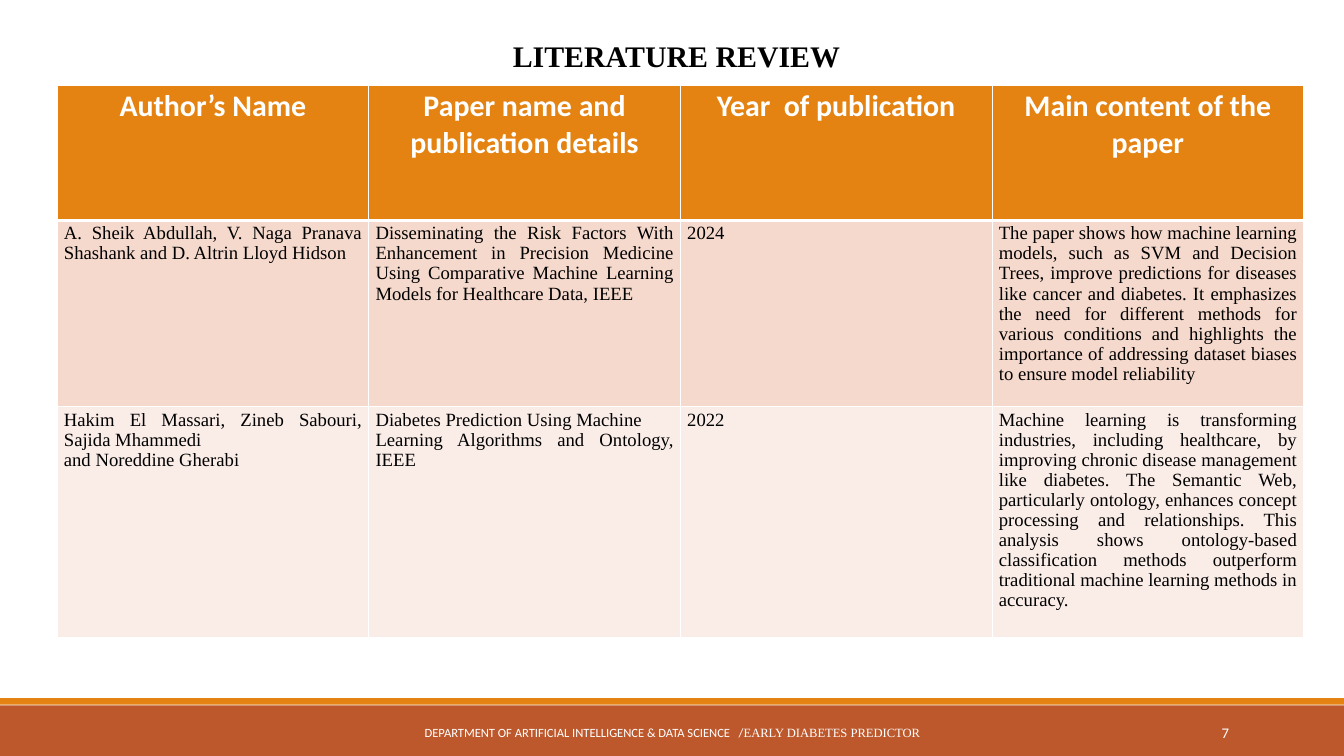
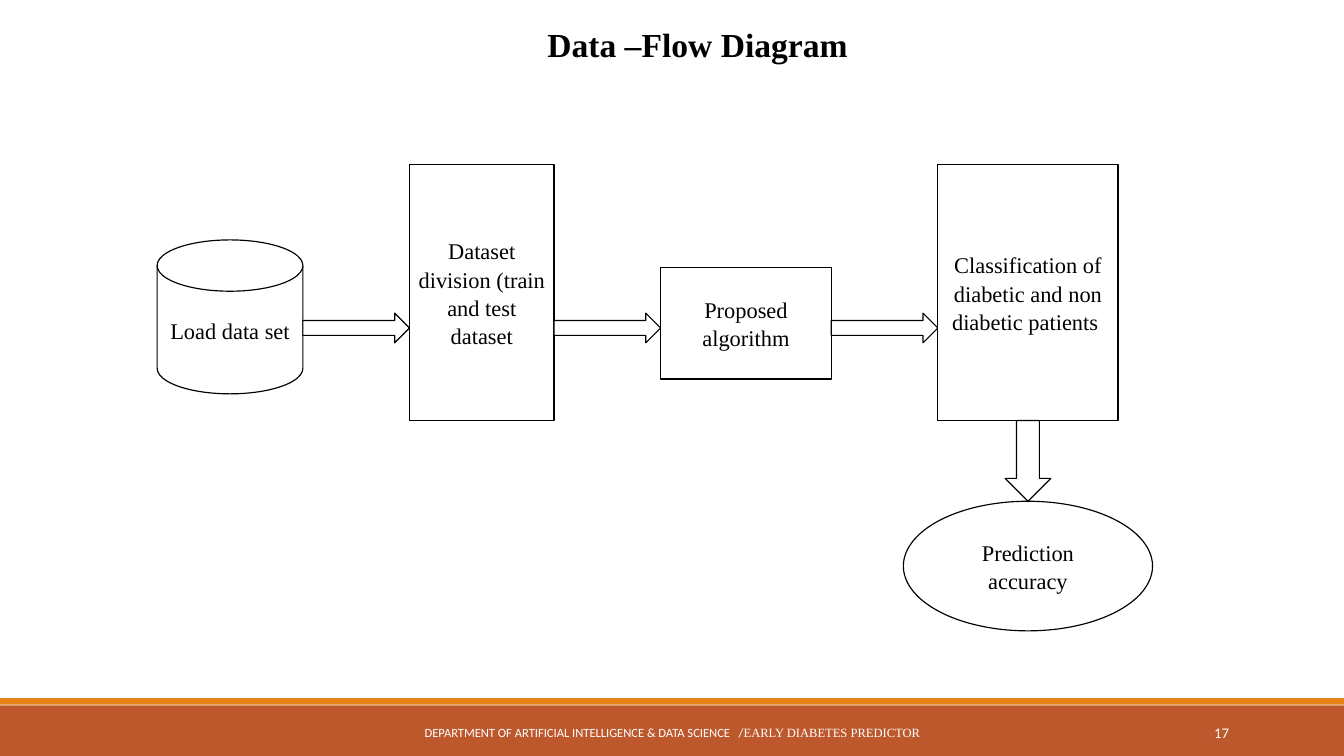
from collections import namedtuple

from lxml import etree
from pptx import Presentation
from pptx.dml.color import RGBColor
from pptx.enum.shapes import MSO_SHAPE
from pptx.enum.text import MSO_ANCHOR, PP_ALIGN
from pptx.oxml.ns import qn
from pptx.util import Cm, Pt

COLORS = {
    "white": "FFFFFF",
    "black": "000000",
    "orange": "E48312",
    "rust": "BD582C",
    "row_dark": "F5D9CC",
    "row_light": "FAEDE7",
}
SERIF, SANS = "Times New Roman", "Calibri"
LEFT, CENTER, RIGHT, JUSTIFY = PP_ALIGN.LEFT, PP_ALIGN.CENTER, PP_ALIGN.RIGHT, PP_ALIGN.JUSTIFY
TOP, MIDDLE = MSO_ANCHOR.TOP, MSO_ANCHOR.MIDDLE
RECTANGLE, PROCESS = MSO_SHAPE.RECTANGLE, MSO_SHAPE.FLOWCHART_PROCESS
DISK, ELLIPSE = MSO_SHAPE.FLOWCHART_MAGNETIC_DISK, MSO_SHAPE.OVAL
RIGHT_ARROW, DOWN_ARROW = MSO_SHAPE.RIGHT_ARROW, MSO_SHAPE.DOWN_ARROW
TITLE_ONLY = 5

Box = namedtuple("Box", "left top width height")  # centimetres

PAGE = Box(0, 0, 50.8, 28.58)
FOOTER = Box(0, 26.39, 50.8, 2.19)

HEADERS = ["Author’s Name", "Paper name and publication details",
           "Year  of publication", "Main content of the paper"]
PAPERS = [
    ["A. Sheik Abdullah, V. Naga Pranava Shashank and D. Altrin Lloyd Hidson",
     "Disseminating the Risk Factors With Enhancement in Precision Medicine Using "
     "Comparative Machine Learning Models for Healthcare Data, IEEE",
     "2024",
     "The paper shows how machine learning models, such as SVM and Decision Trees, "
     "improve predictions for diseases like cancer and diabetes. It emphasizes the need "
     "for different methods for various conditions and highlights the importance of "
     "addressing dataset biases to ensure model reliability"],
    ["Hakim El Massari, Zineb Sabouri, Sajida Mhammedi\nand Noreddine Gherabi",
     "Diabetes Prediction Using Machine\nLearning Algorithms and Ontology, IEEE",
     "2022",
     "Machine learning is transforming industries, including healthcare, by improving "
     "chronic disease management like diabetes. The Semantic Web, particularly ontology, "
     "enhances concept processing and relationships. This analysis shows ontology-based "
     "classification methods outperform traditional machine learning methods in accuracy."],
]
ROW_HEIGHTS = [5.11, 7.04, 8.71]

# shape, text, top within the diagram, width, height
FLOW_STEPS = [
    (DISK, "Load data set", 2.85, 5.51, 5.82),
    (PROCESS, "Dataset division (train and test dataset", 0, 5.46, 9.68),
    (RECTANGLE, "Proposed algorithm", 3.89, 6.45, 4.22),
    (PROCESS, "Classification of diabetic and non diabetic patients ", 0, 6.81, 9.68),
]


def color(name):
    return RGBColor.from_string(COLORS[name])


def lengths(box):
    return [Cm(value) for value in box]


def format_span(span, font, size, shade, bold=False):
    span.font.name = font
    span.font.size = Pt(size)
    span.font.bold = bold
    span.font.color.rgb = color(shade)


def write(frame, text, font, size, shade="black", bold=False, align=CENTER,
          anchor=MIDDLE, spacing=1.0):
    frame.text = text
    frame.word_wrap = True
    frame.vertical_anchor = anchor
    for para in frame.paragraphs:
        para.alignment = align
        para.line_spacing = spacing
        for span in para.runs:
            format_span(span, font, size, shade, bold)


def add_filled(page, kind, box, fill, outline=None):
    shape = page.shapes.add_shape(kind, *lengths(box))
    shape.shadow.inherit = False
    shape.fill.solid()
    shape.fill.fore_color.rgb = color(fill)
    if outline:
        shape.line.color.rgb = color(outline)
        shape.line.width = Pt(1.25)
    else:
        shape.line.fill.background()
    return shape


def add_bands(deck, box):
    """Draw the footer bands and move them to the layout that every page uses."""
    layout = deck.slide_layouts[TITLE_ONLY]
    page = deck.slides[0]
    stripe = 0.25
    bands = [
        (Box(box.left, box.top + 0.28, box.width, box.height - 0.28), "rust"),
        (Box(box.left, box.top, box.width, stripe), "orange"),
    ]
    for band_box, fill in bands:
        band = add_filled(page, RECTANGLE, band_box, fill)
        layout.shapes.element.append(band.element)


def add_footer(page, number, box):
    top = box.top + 0.53
    label = page.shapes.add_textbox(*lengths(Box(box.left + 15.37, top, 20.09, 1.52)))
    write(label.text_frame, "DEPARTMENT OF ARTIFICIAL INTELLIGENCE & DATA SCIENCE   /",
          SANS, 13.5, "white")
    project = label.text_frame.paragraphs[0].add_run()
    project.text = "EARLY DIABETES PREDICTOR"
    format_span(project, SERIF, 13.5, "white")

    counter = page.shapes.add_textbox(*lengths(Box(box.left + 41.25, top, 5.46, 1.52)))
    write(counter.text_frame, str(number), SANS, 15.8, "white", align=RIGHT)


def add_page(deck, title, title_box, size, number, spacing=1.0):
    page = deck.slides.add_slide(deck.slide_layouts[TITLE_ONLY])
    heading = page.shapes.title
    heading.left, heading.top, heading.width, heading.height = lengths(title_box)
    write(heading.text_frame, title, SERIF, size, bold=True, anchor=TOP, spacing=spacing)
    add_footer(page, number, FOOTER)
    return page


def set_borders(cell, widths):
    """Give the cell white borders; widths maps L, R, T, B to points."""
    properties = cell._tc.get_or_add_tcPr()
    for side, width in widths.items():
        line = etree.SubElement(properties, qn(f"a:ln{side}"), w=str(Pt(width)))
        fill = etree.SubElement(line, qn("a:solidFill"))
        etree.SubElement(fill, qn("a:srgbClr"), val=COLORS["white"])


def add_review_table(page, box):
    rows = [HEADERS] + PAPERS
    table = page.shapes.add_table(len(rows), len(HEADERS), *lengths(box)).table
    for column in table.columns:
        column.width = Cm(box.width / len(HEADERS))
    fills = ["orange", "row_dark", "row_light"]
    for row_index, texts in enumerate(rows):
        table.rows[row_index].height = Cm(ROW_HEIGHTS[row_index])
        for column_index, text in enumerate(texts):
            cell = table.cell(row_index, column_index)
            set_borders(cell, {"L": 1, "R": 1,
                               "T": 3 if row_index == 1 else 1,
                               "B": 3 if row_index == 0 else 1})
            cell.fill.solid()
            cell.fill.fore_color.rgb = color(fills[row_index])
            if row_index == 0:
                write(cell.text_frame, text, SANS, 32, "white", bold=True, anchor=TOP)
            else:
                align = LEFT if text.isdigit() else JUSTIFY
                write(cell.text_frame, text, SERIF, 20, align=align, anchor=TOP, spacing=0.97)


def add_step(page, kind, text, box):
    step = add_filled(page, kind, box, "white", "black")
    write(step.text_frame, text, SERIF, 24, spacing=1.05)


def add_flow(page, box):
    """Lay the steps in a row with arrows between, the result below the last step."""
    gap, arrow_height, arrow_top = 4.03, 1.12, 5.62
    left = box.left
    for index, (kind, text, top, width, height) in enumerate(FLOW_STEPS):
        if index:
            arrow_box = Box(left, box.top + arrow_top, gap, arrow_height)
            add_filled(page, RIGHT_ARROW, arrow_box, "white", "black")
            left += gap
        add_step(page, kind, text, Box(left, box.top + top, width, height))
        left += width

    middle = left - width / 2
    result_width, result_height, arrow_width = 9.42, 4.9, 1.73
    result_top = box.top + box.height - result_height
    last_bottom = box.top + top + height
    add_filled(page, DOWN_ARROW,
               Box(middle - arrow_width / 2, last_bottom, arrow_width, result_top - last_bottom),
               "white", "black")
    add_step(page, ELLIPSE, "Prediction accuracy",
             Box(middle - result_width / 2, result_top, result_width, result_height))


def main():
    deck = Presentation()
    deck.slide_width, deck.slide_height = Cm(PAGE.width), Cm(PAGE.height)

    review = add_page(deck, "LITERATURE REVIEW", Box(2.79, 0.61, 45.57, 2.31), 32, 7,
                      spacing=1.5)
    add_bands(deck, FOOTER)
    add_review_table(review, Box(2.16, 3.22, 47.12, sum(ROW_HEIGHTS)))

    flow = add_page(deck, "Data –Flow Diagram", Box(4.57, 0.79, 43.59, 1.8), 36, 17)
    add_flow(flow, Box(5.94, 6.22, 37.64, 17.63))

    deck.save("out.pptx")


if __name__ == "__main__":
    main()
